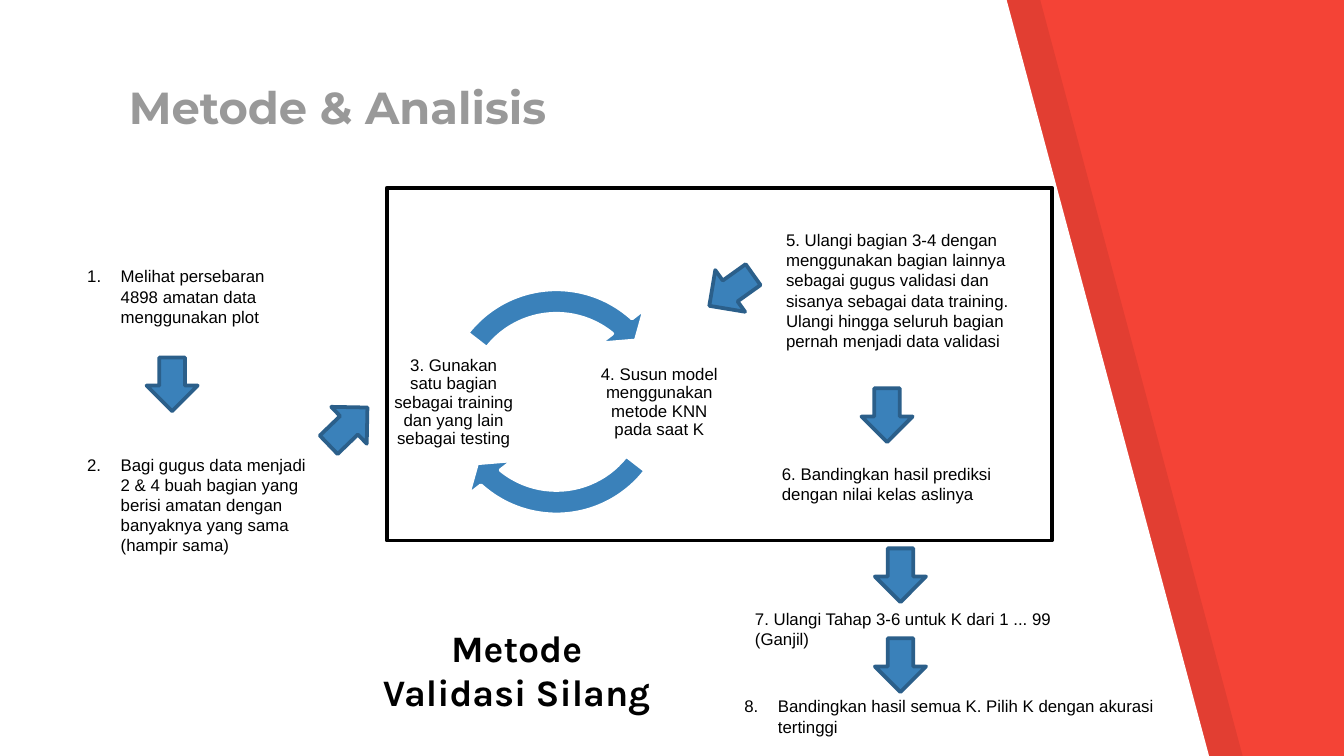
import pptx
import pptx.util
import pptx.dml.color
import pptx.enum.shapes
import pptx.enum.text
import pptx.oxml
import pptx.oxml.ns
import lxml.etree

Pt = pptx.util.Pt
RGBColor = pptx.dml.color.RGBColor
SHAPE = pptx.enum.shapes.MSO_SHAPE
ALIGN = pptx.enum.text.PP_ALIGN
ANCHOR = pptx.enum.text.MSO_ANCHOR
AUTO = pptx.enum.text.MSO_AUTO_SIZE

RED = RGBColor(0xF4, 0x43, 0x36)
BLACK = RGBColor(0, 0, 0)
WHITE = RGBColor(0xFF, 0xFF, 0xFF)
GRAY = RGBColor(0x99, 0x99, 0x99)
BLUE = RGBColor(0x3A, 0x81, 0xBA)
NAVY = RGBColor(0x2B, 0x5F, 0x8A)

WIDTH, HEIGHT = 720, 405
SLANT_TOP, SLANT_BOTTOM = 539.3, 648
SHADE_OFFSET = 18
FRAME = (207.2, 100.6, 356.4, 189)
CYCLE = (229, 146.2, 138.2, 138.2)
CYCLE_ARC = (0.095, 6.846, 78.525, 22.629, 0.111)
HALF_TURN = 108
ARROW_SIZE = (28.8, 27.4)

BODY = dict(size=Pt(9), name="Arial", bold=False)
TITLE = dict(size=Pt(24), name="Montserrat", bold=True)
METHOD = dict(size=Pt(20), name="Karla", bold=True)

CYCLE_STEPS = [
    ("3. Gunakan satu bagian sebagai training dan yang lain sebagai testing", 209.5),
    ("4. Susun model menggunakan metode KNN pada saat K", 319.7),
]
STEPS = [
    (1, "Melihat persebaran 4898 amatan data menggunakan plot", (39.6, 139, 128.9, 40.3)),
    (2, "Bagi gugus data menjadi 2 & 4 buah bagian yang berisi amatan dengan "
        "banyaknya yang sama (hampir sama)", (39.6, 239.8, 136.8, 61.9)),
    (None, "5. Ulangi bagian 3-4 dengan menggunakan bagian lainnya sebagai gugus "
           "validasi dan sisanya sebagai data training. Ulangi hingga seluruh bagian "
           "pernah menjadi data validasi", (414, 119.5, 149.8, 72.7)),
    (None, "6. Bandingkan hasil prediksi dengan nilai kelas aslinya",
     (411.8, 244.8, 128.9, 28.8)),
    (None, "7. Ulangi Tahap 3-6 untuk K dari 1 ... 99 (Ganjil)", (397.4, 322.6, 182.2, 28.8)),
    (8, "Bandingkan hasil semua K. Pilih K dengan akurasi tertinggi",
     (391.7, 369.4, 254.9, 28.8)),
]
ARROWS = [
    (77.8, 192.2, 90),
    (172.1, 214.6, 316.1),
    (377.3, 141.8, 144.5),
    (460.8, 208.8, 90),
    (468, 294.5, 90),
    (468, 342.7, 90),
]


def points(box):
    return [Pt(value) for value in box]


def apply(target, values):
    for key, value in values.items():
        setattr(target, key, value)


def paint(shape, fill, line=None):
    shape.shadow.inherit = False
    shape.fill.solid()
    shape.fill.fore_color.rgb = fill
    if line is None:
        shape.line.fill.background()
    else:
        shape.line.color.rgb = line
        shape.line.width = Pt(2)
    return shape


def add_panel(slide, offset, fill):
    outline = [(offset, 406), (SLANT_BOTTOM + offset, 406), (SLANT_TOP + offset, 0)]
    builder = slide.shapes.build_freeform(Pt(offset), Pt(-0.7), scale=1.0)
    builder.add_line_segments([points(corner) for corner in outline], close=True)
    return paint(builder.convert_to_shape(), fill)


def add_shape(slide, kind, box, fill, line):
    return paint(slide.shapes.add_shape(kind, *points(box)), fill, line)


def add_text(slide, lines, box, font, color=BLACK, margin=None, frame=None, paragraph=None):
    text_frame = slide.shapes.add_textbox(*points(box)).text_frame
    apply(text_frame, dict(word_wrap=True, auto_size=AUTO.SHAPE_TO_FIT_TEXT) | (frame or {}))
    if margin is not None:
        apply(text_frame, {"margin_" + side: Pt(margin)
                           for side in ("left", "top", "right", "bottom")})
    text_frame.text = "\n".join(lines)
    for item in text_frame.paragraphs:
        apply(item, paragraph or {})
        run_font = item.runs[0].font
        apply(run_font, font)
        run_font.color.rgb = color
    return text_frame


def add_number(paragraph, start):
    properties = paragraph._p.get_or_add_pPr()
    properties.set("marL", str(Pt(18)))
    properties.set("indent", str(-Pt(18)))
    qn = pptx.oxml.ns.qn
    bullet_color = lxml.etree.SubElement(properties, qn("a:buClr"))
    lxml.etree.SubElement(bullet_color, qn("a:srgbClr"), val=str(BLACK))
    lxml.etree.SubElement(properties, qn("a:buFont"), typeface="Arial")
    lxml.etree.SubElement(properties, qn("a:buAutoNum"), type="arabicPeriod",
                          startAt=str(start))


def main():
    deck = pptx.Presentation()
    apply(deck, dict(slide_width=Pt(WIDTH), slide_height=Pt(HEIGHT)))
    slide = deck.slides.add_slide(deck.slide_layouts[6])
    slide.background.fill.solid()
    slide.background.fill.fore_color.rgb = RED

    shade = add_panel(slide, SHADE_OFFSET, BLACK)
    shade_color = shade._element.spPr.find(".//" + pptx.oxml.ns.qn("a:srgbClr"))
    lxml.etree.SubElement(shade_color, pptx.oxml.ns.qn("a:alpha"), val="7000")
    add_panel(slide, 0, WHITE)
    add_shape(slide, SHAPE.RECTANGLE, FRAME, WHITE, BLACK)

    for index, (step, left) in enumerate(CYCLE_STEPS):
        arc = add_shape(slide, SHAPE.CIRCULAR_ARROW, CYCLE, BLUE, WHITE)
        for position, value in enumerate(CYCLE_ARC):
            turn = HALF_TURN * index if position in (2, 3) else 0
            arc.adjustments[position] = value + turn
        add_text(slide, [step], (left, 182.2, 67, 67), BODY, margin=0.9,
                 frame=dict(vertical_anchor=ANCHOR.MIDDLE, auto_size=AUTO.NONE),
                 paragraph=dict(alignment=ALIGN.CENTER, line_spacing=0.9))

    add_text(slide, ["Metode & Analisis"], (61.9, 46.1, 378, 32.4), TITLE, GRAY, margin=7.2,
             frame=dict(vertical_anchor=ANCHOR.BOTTOM, auto_size=AUTO.NONE))
    add_text(slide, ["Metode", "Validasi Silang"], (188.6, 331.2, 176.4, 55.4), METHOD,
             paragraph=dict(alignment=ALIGN.CENTER))

    for number, step, box in STEPS:
        text_frame = add_text(slide, [step], box, BODY)
        if number:
            add_number(text_frame.paragraphs[0], number)

    for left, top, angle in ARROWS:
        arrow = add_shape(slide, SHAPE.RIGHT_ARROW, (left, top, *ARROW_SIZE), BLUE, NAVY)
        arrow.rotation = angle

    deck.save("out.pptx")


if __name__ == "__main__":
    main()
